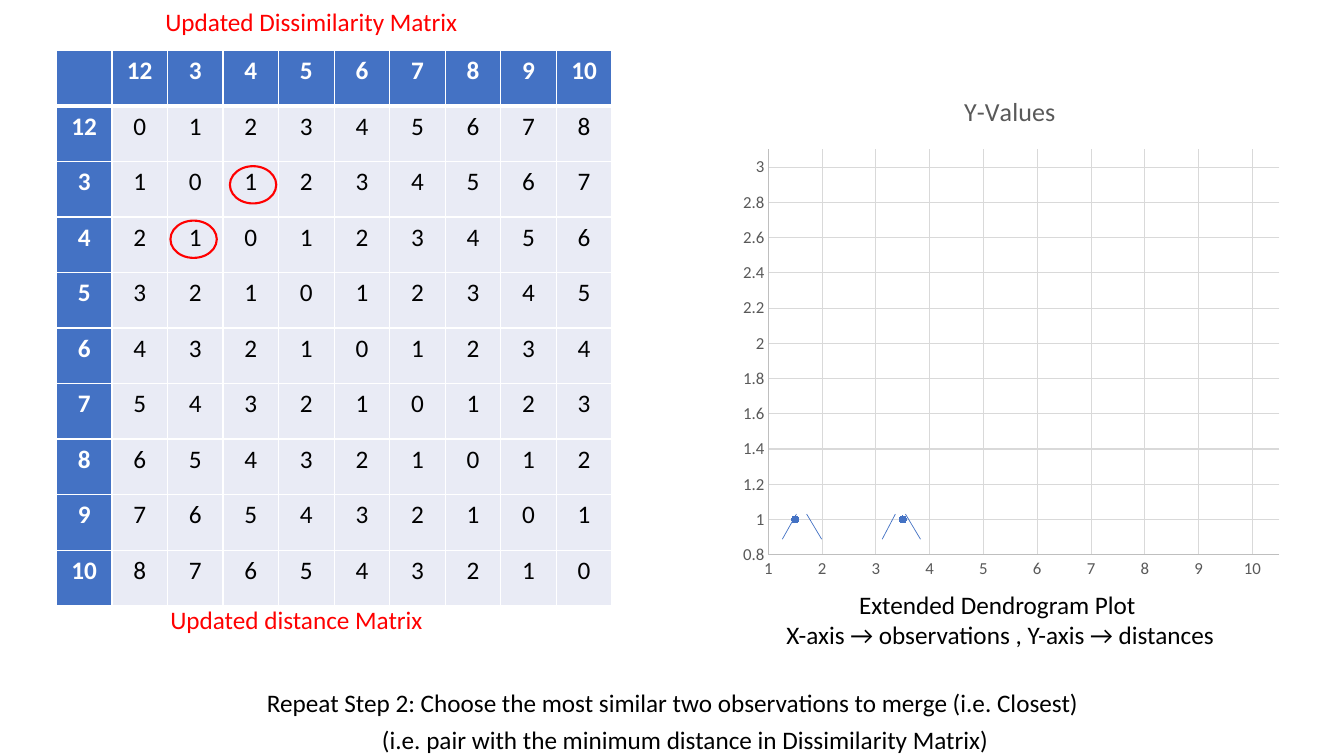
"""Build the slide with an updated distance matrix and its dendrogram plot."""
from dataclasses import dataclass

from lxml import etree
from pptx import Presentation
from pptx import util as u
from pptx.chart.data import XyChartData
from pptx.dml.color import RGBColor
from pptx.enum import chart as charts, shapes, text
from pptx.oxml import ns

WIDE, HIGH = 13.33, 7.5


@dataclass(frozen=True)
class Theme:
    """Colours, font and type sizes of the slide."""
    font: str = "Calibri"
    ink: str = "000000"
    white: str = "FFFFFF"
    red: str = "FF0000"
    blue: str = "4472C4"
    pale: str = "E9EBF5"
    gray: str = "595959"
    axis: str = "BFBFBF"
    grid: str = "D9D9D9"
    body: float = 18
    head: float = 18.6
    tick: float = 12


T = Theme()
TABLE = (4.2, 6.67, 41.33, 73.47)
LABELS = [12, *range(3, 11)]
SIZE = len(LABELS) + 1
RINGS = [(2.47, 3.4), (3.54, 2.42)]
BRANCHES = [(58.21, 59.26), (61.14, 60.02), (65.64, 66.62), (68.49, 67.37)]
POINTS = [(1.5, 1), (3.5, 1)]


def across(share):
    """Turn a percentage of the slide width into a length."""
    return u.Inches(WIDE * share / 100)


def down(share):
    """Turn a percentage of the slide height into a length."""
    return u.Inches(HIGH * share / 100)


def frame(x, y, w, h):
    """Turn a box in percentages into lengths."""
    return across(x), down(y), across(w), down(h)


def style(font, color, size=T.body, bold=False):
    """Set the look of a font."""
    font.name, font.size, font.bold = T.font, u.Pt(size), bold
    font.color.rgb = RGBColor.from_string(color)


def stroke(line, color, width):
    """Set the colour and width of a line."""
    line.color.rgb = RGBColor.from_string(color)
    line.width = u.Pt(width)


def write(para, words, color, align=text.PP_ALIGN.LEFT, **look):
    """Add one run to a paragraph."""
    para.alignment = align
    run = para.add_run()
    run.text = words
    style(run.font, color, **look)


def fill_text(shape, lines, color, align=text.PP_ALIGN.LEFT, wrap=True):
    """Write lines into the text frame of a shape."""
    body = shape.text_frame
    body.word_wrap = wrap
    body.auto_size = text.MSO_AUTO_SIZE.SHAPE_TO_FIT_TEXT
    body.vertical_anchor = text.MSO_ANCHOR.TOP
    for i, words in enumerate(lines):
        para = body.add_paragraph() if i else body.paragraphs[0]
        write(para, words, color, align)


def add_title(slide, box, words):
    """Move and fill the title placeholder."""
    title = slide.shapes.title
    title.left, title.top, title.width, title.height = frame(*box)
    fill_text(title, [words], T.red)


def add_text(slide, box, lines, color=T.ink, **look):
    """Add a text box."""
    fill_text(slide.shapes.add_textbox(*frame(*box)), lines, color, **look)


def edge(cell, side, width):
    """Draw one white border of a cell."""
    props = cell._tc.get_or_add_tcPr()
    line = etree.SubElement(props, ns.qn(f"a:ln{side}"), w=str(u.Pt(width)))
    solid = etree.SubElement(line, ns.qn("a:solidFill"))
    etree.SubElement(solid, ns.qn("a:srgbClr"), val=T.white)


def add_cell(cell, row, col):
    """Fill one cell of the matrix from its place."""
    head = row == 0 or col == 0
    for side in "LRTB":
        if side != "T" or row == 0:
            edge(cell, side, 3 if side == "B" and row == 0 else 1)
    cell.fill.solid()
    cell.fill.fore_color.rgb = RGBColor.from_string(T.blue if head else T.pale)
    if row or col:
        words = LABELS[max(row, col) - 1] if head else abs(row - col)
        write(cell.text_frame.paragraphs[0], str(words),
              T.white if head else T.ink, text.PP_ALIGN.CENTER, bold=head)


def add_matrix(slide):
    """Add the distance matrix."""
    table = slide.shapes.add_table(SIZE, SIZE, *frame(*TABLE)).table
    for i in range(SIZE):
        table.columns[i].width = across(TABLE[2] / SIZE)
        table.rows[i].height = down(TABLE[3] / SIZE)
        for j in range(SIZE):
            add_cell(table.cell(i, j), i, j)


def add_ring(slide, col, row):
    """Circle a matrix value, centred at a column and row of the table."""
    x, y, w, h = TABLE
    wide, tall = 3.45, 4.93
    ring = slide.shapes.add_shape(shapes.MSO_SHAPE.OVAL, *frame(
        x + w * col / SIZE - wide / 2, y + h * row / SIZE - tall / 2, wide, tall))
    ring.shadow.inherit = False
    ring.fill.background()
    stroke(ring.line, T.red, 1.5)


def set_axis(axis, low, high, step):
    """Set the scale and look of an axis."""
    axis.minimum_scale, axis.maximum_scale, axis.major_unit = low, high, step
    axis.major_tick_mark = axis.minor_tick_mark = charts.XL_TICK_MARK.NONE
    axis.has_major_gridlines = True
    stroke(axis.major_gridlines.format.line, T.grid, 0.75)
    stroke(axis.format.line, T.axis, 0.75)
    style(axis.tick_labels.font, T.gray, T.tick)
    axis.tick_labels.number_format = "General"
    axis.tick_labels.number_format_is_linked = False


def set_plot(chart, **shares):
    """Fix the inner plot area as shares of the chart."""
    area = chart._chartSpace.chart.plotArea
    for old in area.findall(ns.qn("c:layout")):
        area.remove(old)
    layout = etree.Element(ns.qn("c:layout"))
    area.insert(0, layout)
    manual = etree.SubElement(layout, ns.qn("c:manualLayout"))
    rules = dict(layoutTarget="inner", xMode="edge", yMode="edge", **shares)
    for name, val in rules.items():
        etree.SubElement(manual, ns.qn(f"c:{name}"), val=str(val))


def add_plot(slide, box):
    """Add the scatter chart of merged observations."""
    data = XyChartData()
    dots = data.add_series("Y-Values")
    for x, y in POINTS:
        dots.add_data_point(x, y)
    chart = slide.shapes.add_chart(
        charts.XL_CHART_TYPE.XY_SCATTER, *frame(*box), data).chart
    style(chart.font, T.ink, 10)
    chart.has_legend = False
    chart.has_title = True
    write(chart.chart_title.text_frame.paragraphs[0], "Y-Values", T.gray,
          text.PP_ALIGN.CENTER, size=T.head)
    chart.chart_title.include_in_layout = False
    set_axis(chart.category_axis, 1, 10.5, 1)
    set_axis(chart.value_axis, 0.8, 3.1, 0.2)
    set_plot(chart, x=0.07, y=0.15, w=0.91, h=0.79)
    chart.plots[0].vary_by_categories = False
    series = chart.plots[0].series[0]
    series.format.line.fill.background()
    mark = series.marker
    mark.style, mark.size = charts.XL_MARKER_STYLE.CIRCLE, 5
    mark.format.fill.solid()
    mark.format.fill.fore_color.rgb = RGBColor.from_string(T.blue)
    stroke(mark.format.line, T.blue, 0.75)


def add_branch(slide, start, end):
    """Draw one slanted branch of the dendrogram."""
    line = slide.shapes.add_connector(
        shapes.MSO_CONNECTOR.STRAIGHT,
        across(start), down(71.33), across(end), down(68))
    stroke(line.line, T.blue, 0.5)
    etree.SubElement(line._element.spPr, ns.qn("a:effectLst"))


def main():
    """Build and save the slide."""
    deck = Presentation()
    deck.slide_width, deck.slide_height = u.Inches(WIDE), u.Inches(HIGH)
    slide = deck.slides.add_slide(deck.slide_layouts[5])
    add_matrix(slide)
    add_text(slide, (19.13, 90.27, 65.49, 5.33), [
        "Repeat Step 2: Choose the most similar two observations to merge (i.e. Closest)"])
    add_title(slide, (11.55, 0.13, 23.86, 5.33), "Updated Dissimilarity Matrix")
    add_text(slide, (11.93, 79.33, 23.86, 5.33), ["Updated distance Matrix"], T.red)
    add_text(slide, (27.68, 95.2, 46.74, 5.33), [
        "(i.e. pair with the minimum distance in Dissimilarity Matrix)"], wrap=False)
    for col, row in RINGS:
        add_ring(slide, col, row)
    add_plot(slide, (54.24, 9.6, 41.79, 67.87))
    add_text(slide, (57.09, 77.33, 34.66, 9.47), [
        "Extended Dendrogram Plot ", "X-axis → observations , Y-axis → distances"],
        align=text.PP_ALIGN.CENTER)
    for start, end in BRANCHES:
        add_branch(slide, start, end)
    deck.save("out.pptx")


main()
